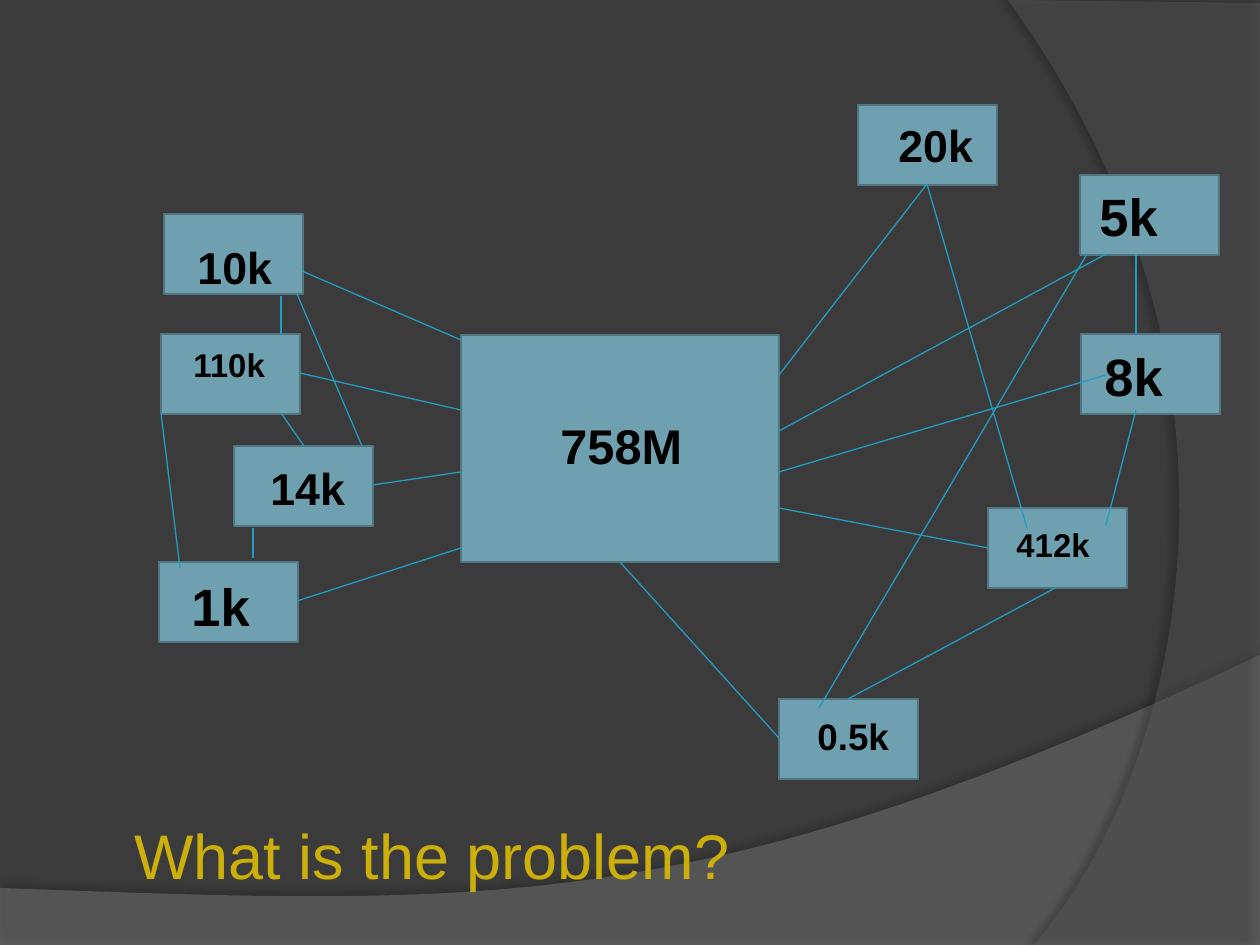
import pptx
import pptx.util
import pptx.dml.color
import pptx.enum.shapes
import pptx.oxml
import pptx.oxml.ns

RGB = pptx.dml.color.RGBColor
BACK = RGB(0x3B, 0x3B, 0x3B)
SWOOSH = RGB(0x7F, 0x7F, 0x7F)
ARC = RGB(0x5E, 0x5E, 0x5E)
BOX = RGB(0x6E, 0xA0, 0xB0)
EDGE = RGB(0x51, 0x76, 0x82)
LINK = RGB(0x23, 0x9B, 0xC2)
BLACK = RGB(0, 0, 0)
GOLD = RGB(0xCC, 0xAF, 0x0A)
FONT = "Arial"
SCALE = 914400 / 126
SMALL, LABEL = (139, 80), (107, 73)

# Backdrop: corners, with a curve given as four control points
WAVES = [
    ([(0, 888), (0, 946), (1260, 946)],
     [(1260, 655), (704, 919), (493, 906), (0, 888)],
     SWOOSH, 45, (35, 4, 3.5, 270)),
    ([(1260, 3), (1260, 945)],
     [(1034, 945), (1178, 780), (1283, 378), (1008, 0)],
     ARC, 40, (45, 4, 4, 180)),
]

# Nodes: text, size in points, box corner, label corner
NODES = [
    ("0.5k", 21, (779, 699), (800, 708)),
    ("412k", 18.8, (988, 508), (999, 518)),
    ("8k", 30, (1081, 334), (1087, 338)),
    ("5k", 30, (1080, 175), (1082, 178)),
    ("20k", 25.5, (858, 105), (881, 112)),
    ("1k", 30, (159, 562), (174, 568)),
    ("14k", 25.5, (234, 446), (253, 455)),
    ("110k", 18.8, (161, 334), (176, 338)),
    ("10k", 25.5, (164, 214), (180, 234)),
]
HUB = ("758M", 27.8, (461, 335, 318, 227), (543, 410, 155, 73))
TITLE = ("What is the problem?", 36, (117, 810, 1029, 73))

# Links: x1, y1, x2, y2
LINKS = [
    (927, 184, 779, 375), (1106, 254, 779, 431), (779, 472, 1106, 375),
    (779, 508, 988, 548), (620, 562, 779, 738), (302, 271, 461, 340),
    (300, 373, 461, 410), (373, 485, 461, 472), (297, 601, 461, 548),
    (1136, 254, 1136, 334), (1106, 525, 1136, 410), (1057, 587, 848, 699),
    (281, 296, 281, 334), (281, 413, 304, 446), (253, 528, 253, 558),
    (927, 184, 1027, 528), (1087, 254, 819, 708), (161, 413, 180, 568),
    (362, 446, 297, 294),
]


def emu(*vals):
    return [round(v * SCALE) for v in vals]


def curve(pts, steps=32):
    for i in range(steps + 1):
        t = i / steps
        wts = ((1 - t) ** 3, 3 * t * (1 - t) ** 2, 3 * t * t * (1 - t), t ** 3)
        yield tuple(sum(w * p[k] for w, p in zip(wts, pts)) for k in (0, 1))


def effect(shape, inner=""):
    shape._element.spPr.append(pptx.oxml.parse_xml(
        f'<a:effectLst {pptx.oxml.ns.nsdecls("a")}>{inner}</a:effectLst>'))


def add_wave(edge, bend, color, alpha, shade):
    pts = [tuple(emu(*p)) for p in edge + list(curve(bend))]
    form = slide.shapes.build_freeform(*pts[0], scale=1.0)
    form.add_line_segments(pts[1:], close=True)
    wave = form.convert_to_shape()
    wave.fill.solid()
    wave.fill.fore_color.rgb = color
    wave.line.fill.background()
    tint = wave._element.spPr.find(".//" + pptx.oxml.ns.qn("a:srgbClr"))
    tint.append(pptx.oxml.parse_xml(
        f'<a:alpha {pptx.oxml.ns.nsdecls("a")} val="{alpha * 1000}"/>'))
    dark, blur, dist, turn = shade
    effect(wave, f'<a:outerShdw blurRad="{round(blur * 12700)}" '
                 f'dist="{round(dist * 12700)}" dir="{turn * 60000}" '
                 f'algn="ctr" rotWithShape="0"><a:srgbClr val="000000">'
                 f'<a:alpha val="{dark * 1000}"/></a:srgbClr></a:outerShdw>')


def add_box(area):
    box = slide.shapes.add_shape(
        pptx.enum.shapes.MSO_SHAPE.RECTANGLE, *emu(*area))
    box.shadow.inherit = False
    box.fill.solid()
    box.fill.fore_color.rgb = BOX
    box.line.color.rgb = EDGE
    box.line.width = pptx.util.Pt(1.5)


def add_text(text, size, area, color=BLACK, bold=True):
    frame = slide.shapes.add_textbox(*emu(*area)).text_frame
    frame.word_wrap = True
    para = frame.paragraphs[0]
    para.space_before = pptx.util.Pt(round(size * 0.11, 1))
    para._p.get_or_add_pPr().set("marL", str(emu(5)[0]))
    run = para.add_run()
    run.text = text
    run.font.name = FONT
    run.font.size = pptx.util.Pt(size)
    run.font.bold = bold
    run.font.color.rgb = color


def add_link(ends):
    link = slide.shapes.add_connector(
        pptx.enum.shapes.MSO_CONNECTOR.STRAIGHT, *emu(*ends))
    link.line.color.rgb = LINK
    link.line.width = pptx.util.Pt(0.75)
    effect(link)


deck = pptx.Presentation()
deck.slide_width, deck.slide_height = emu(1260, 945)
slide = deck.slides.add_slide(deck.slide_layouts[6])
slide.background.fill.solid()
slide.background.fill.fore_color.rgb = BACK

# Backdrop
for wave in WAVES:
    add_wave(*wave)

# Boxes, then their labels
add_box(HUB[2])
for text, size, spot, mark in NODES:
    add_box(spot + SMALL)
add_text(HUB[0], HUB[1], HUB[3])
for text, size, spot, mark in NODES:
    add_text(text, size, mark + LABEL)

# Links and title
for ends in LINKS:
    add_link(ends)
add_text(*TITLE, color=GOLD, bold=False)

deck.save("out.pptx")
